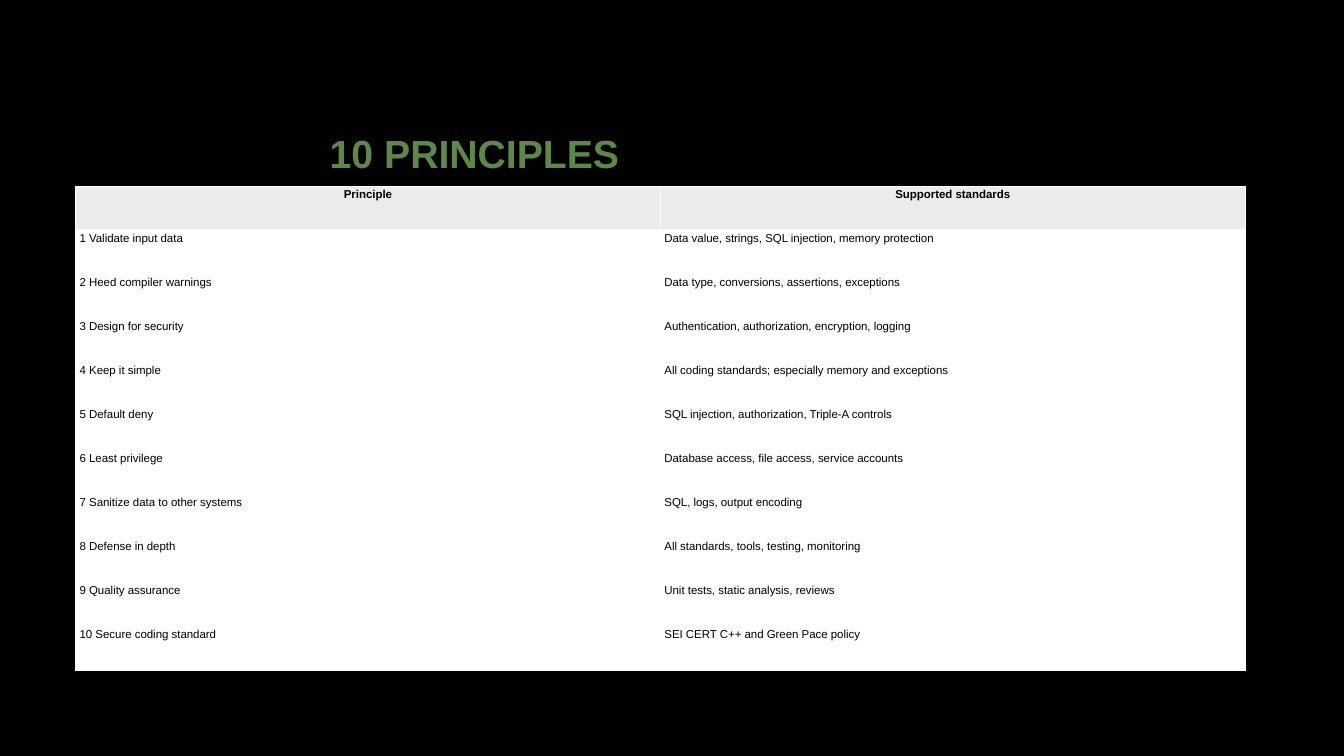
from dataclasses import dataclass

from lxml.etree import SubElement
from pptx import Presentation
from pptx.dml.color import RGBColor
from pptx.enum.text import MSO_ANCHOR, PP_ALIGN
from pptx.oxml.ns import qn
from pptx.slide import Slide
from pptx.table import Table, _Cell
from pptx.util import Inches, Pt

BLACK, WHITE, GREEN, HEADER_GRAY = "000000", "FFFFFF", "5E8849", "EBEBEB"


@dataclass(frozen=True)
class Principle:
    name: str
    standards: str


@dataclass(frozen=True)
class RowStyle:
    fill: str
    bold: bool
    alignment: PP_ALIGN
    bottom_border: float


HEADER_STYLE = RowStyle(HEADER_GRAY, True, PP_ALIGN.CENTER, 3)
BODY_STYLE = RowStyle(WHITE, False, PP_ALIGN.LEFT, 1)
HEADER = Principle("Principle", "Supported standards")
PRINCIPLES = [
    Principle("1 Validate input data", "Data value, strings, SQL injection, memory protection"),
    Principle("2 Heed compiler warnings", "Data type, conversions, assertions, exceptions"),
    Principle("3 Design for security", "Authentication, authorization, encryption, logging"),
    Principle("4 Keep it simple", "All coding standards; especially memory and exceptions"),
    Principle("5 Default deny", "SQL injection, authorization, Triple-A controls"),
    Principle("6 Least privilege", "Database access, file access, service accounts"),
    Principle("7 Sanitize data to other systems", "SQL, logs, output encoding"),
    Principle("8 Defense in depth", "All standards, tools, testing, monitoring"),
    Principle("9 Quality assurance", "Unit tests, static analysis, reviews"),
    Principle("10 Secure coding standard", "SEI CERT C++ and Green Pace policy"),
]


def color(value: str) -> RGBColor:
    return RGBColor.from_string(value)


def apply(target: object, values: dict) -> None:
    for name, value in values.items():
        setattr(target, name, value)


def format_font(font: object, size: float, bold: bool, text_color: str) -> None:
    apply(font, {"name": "Arial", "size": Pt(size), "bold": bold})
    font.color.rgb = color(text_color)


def add_borders(cell: _Cell, bottom_width: float) -> None:
    properties = cell._tc.get_or_add_tcPr()
    widths = {"a:lnL": 1, "a:lnR": 1, "a:lnT": 1, "a:lnB": bottom_width}
    for tag, width in widths.items():
        line = SubElement(properties, qn(tag), w=str(Pt(width)))
        fill = SubElement(line, qn("a:solidFill"))
        SubElement(fill, qn("a:srgbClr"), val=WHITE)


def fill_cell(cell: _Cell, text: str, style: RowStyle) -> None:
    cell.text = text
    apply(cell, {
        "margin_left": Inches(0.04), "margin_right": Inches(0.04),
        "margin_top": Inches(0.02), "margin_bottom": Inches(0.02),
    })
    add_borders(cell, style.bottom_border)
    cell.fill.solid()
    cell.fill.fore_color.rgb = color(style.fill)
    paragraph = cell.text_frame.paragraphs[0]
    paragraph.alignment = style.alignment
    format_font(paragraph.runs[0].font, 8.2, style.bold, BLACK)


def fill_row(table: Table, index: int, principle: Principle, style: RowStyle) -> None:
    for column, text in enumerate((principle.name, principle.standards)):
        fill_cell(table.cell(index, column), text, style)


def add_title(slide: Slide) -> None:
    title = slide.shapes.title
    apply(title, {
        "left": Inches(3.17), "top": Inches(0.84),
        "width": Inches(9.42), "height": Inches(1.41),
    })
    title.text_frame.text = "10 PRINCIPLES"
    title.text_frame.vertical_anchor = MSO_ANCHOR.MIDDLE
    paragraph = title.text_frame.paragraphs[0]
    apply(paragraph, {"alignment": PP_ALIGN.LEFT, "line_spacing": 0.9})
    format_font(paragraph.runs[0].font, 28, True, GREEN)


def add_principles_table(slide: Slide) -> None:
    table = slide.shapes.add_table(
        len(PRINCIPLES) + 1, 2, Inches(0.75), Inches(1.85), Inches(11.6), Inches(4.8)
    ).table
    table.horz_banding = False
    fill_row(table, 0, HEADER, HEADER_STYLE)
    for index, principle in enumerate(PRINCIPLES, start=1):
        fill_row(table, index, principle, BODY_STYLE)


def main() -> None:
    presentation = Presentation()
    apply(presentation, {"slide_width": Inches(13.33), "slide_height": Inches(7.5)})
    slide = presentation.slides.add_slide(presentation.slide_layouts.get_by_name("Title Only"))
    slide.background.fill.solid()
    slide.background.fill.fore_color.rgb = color(BLACK)
    add_title(slide)
    add_principles_table(slide)
    presentation.save("out.pptx")


if __name__ == "__main__":
    main()
